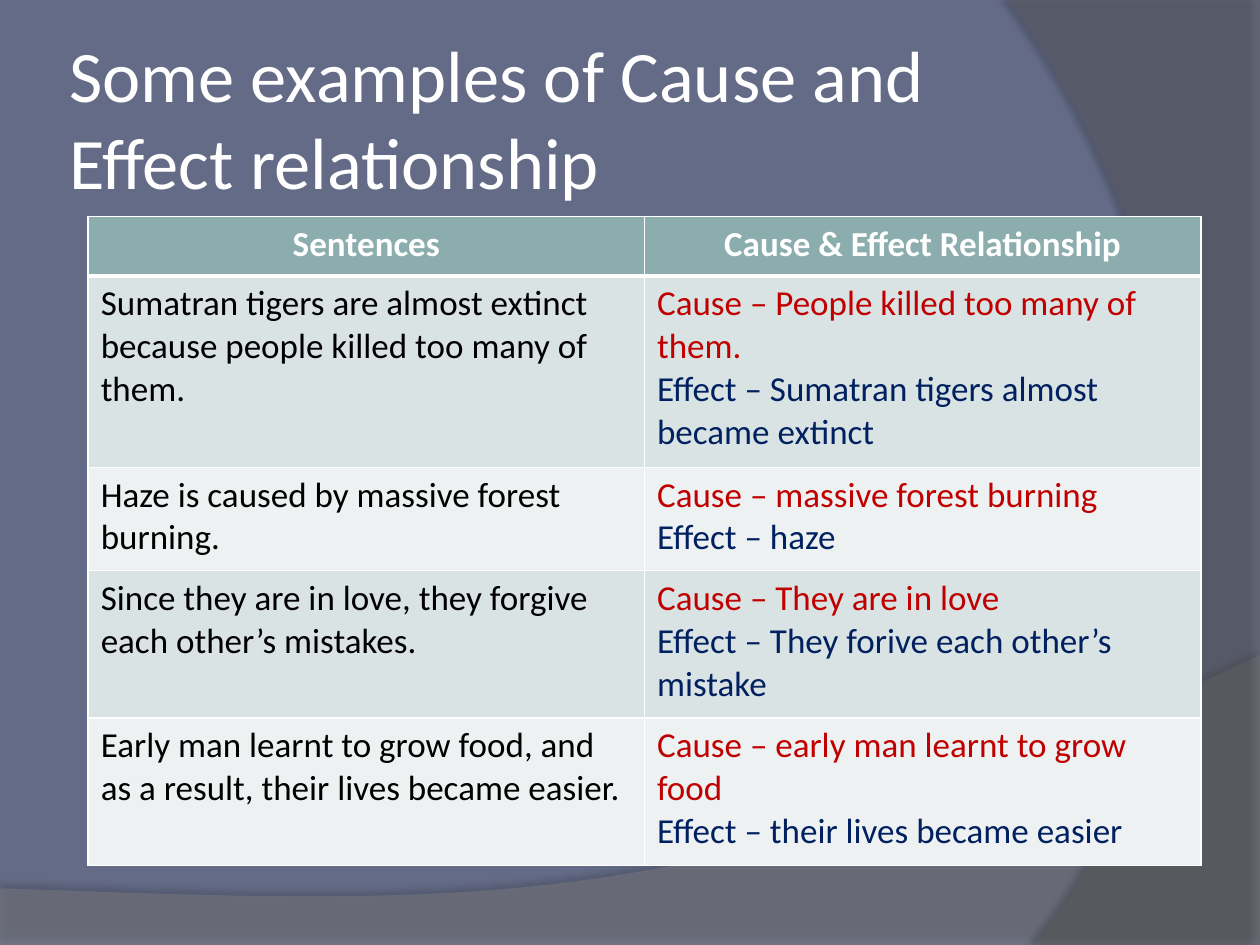
from dataclasses import dataclass

import lxml.etree
import pptx
import pptx.dml.color
import pptx.enum.text
import pptx.oxml
import pptx.oxml.ns
import pptx.util

Inches = pptx.util.Inches
Pt = pptx.util.Pt
qn = pptx.oxml.ns.qn

COLORS = {
    "background": "646B86",
    "wave": "7F7F7F",
    "arc": "5E5E5E",
    "shadow": "000000",
    "header": "8CADAE",
    "odd_row": "DAE3E3",
    "even_row": "EEF1F2",
    "white": "FFFFFF",
    "sentence": "000000",
    "cause": "C00000",
    "effect": "002060",
}
FONT = "Calibri"
CURVE_STEPS = 40
Point = tuple[float, float]


@dataclass
class Swoosh:
    lines: list[Point]
    controls: tuple[Point, Point, Point]
    color: str
    opacity: int
    shadow_opacity: int
    shadow_distance: float
    shadow_angle: int


@dataclass
class Example:
    sentence: str
    cause: str
    effect: str
    height: float


SWOOSHES = [
    Swoosh([(0, 7.05), (0, 7.5), (10, 7.5), (10, 5.2)],
           ((5.59, 7.29), (3.91, 7.19), (0, 7.05)), "wave", 45, 35, 3.5, 270),
    Swoosh([(10, 0), (10, 7.5), (8.21, 7.5)],
           ((9.35, 6.19), (10.18, 3), (8, 0)), "arc", 40, 45, 4, 180),
]
HEADINGS = ["Sentences", "Cause & Effect Relationship"]
HEADER_HEIGHT = 0.47
EXAMPLES = [
    Example("Sumatran tigers are almost extinct because people killed too many of them.",
            "People killed too many of them.", "Sumatran tigers almost became extinct", 1.52),
    Example("Haze is caused by massive forest burning.",
            "massive forest burning", "haze", 0.82),
    Example("Since they are in love, they forgive each other’s mistakes.",
            "They are in love", "They forive each other’s mistake", 1.17),
    Example("Early man learnt to grow food, and as a result, their lives became easier.",
            "early man learnt to grow food", "their lives became easier", 1.17),
]


def rgb(name: str) -> pptx.dml.color.RGBColor:
    return pptx.dml.color.RGBColor.from_string(COLORS[name])


def write_text(para, text: str, *, color: str, size: float = 20,
               bold: bool = False, centered: bool = False) -> None:
    if centered:
        para.alignment = pptx.enum.text.PP_ALIGN.CENTER
    span = para.add_run()
    span.text = text
    span.font.name = FONT
    span.font.size = Pt(size)
    span.font.bold = bold
    span.font.color.rgb = rgb(color)


def curve_points(start: Point, controls: tuple[Point, Point, Point]) -> list[Point]:
    points = []
    for step in range(1, CURVE_STEPS + 1):
        t = step / CURVE_STEPS
        weights = ((1 - t) ** 3, 3 * t * (1 - t) ** 2, 3 * t ** 2 * (1 - t), t ** 3)
        corners = (start, *controls)
        points.append(tuple(sum(w * corner[axis] for w, corner in zip(weights, corners))
                            for axis in (0, 1)))
    return points


def draw_swoosh(page, swoosh: Swoosh) -> None:
    points = swoosh.lines + curve_points(swoosh.lines[-1], swoosh.controls)
    outline = [(Inches(x), Inches(y)) for x, y in points]
    builder = page.shapes.build_freeform(*outline[0])
    builder.add_line_segments(outline[1:], close=True)
    shape = builder.convert_to_shape()
    shape.shadow.inherit = False
    shape.fill.solid()
    shape.fill.fore_color.rgb = rgb(swoosh.color)
    shape.line.fill.background()
    properties = shape.element.spPr
    fill_color = properties.find(qn("a:solidFill")).find(qn("a:srgbClr"))
    lxml.etree.SubElement(fill_color, qn("a:alpha"), val=str(swoosh.opacity * 1000))
    shadow = lxml.etree.SubElement(
        properties.find(qn("a:effectLst")), qn("a:outerShdw"),
        blurRad=str(Pt(4)), dist=str(Pt(swoosh.shadow_distance)),
        dir=str(swoosh.shadow_angle * 60000), algn="ctr", rotWithShape="0")
    shadow_color = lxml.etree.SubElement(shadow, qn("a:srgbClr"), val=COLORS["shadow"])
    lxml.etree.SubElement(shadow_color, qn("a:alpha"), val=str(swoosh.shadow_opacity * 1000))


def style_cell(cell, fill: str, top: float = 1, bottom: float = 1) -> None:
    cell.fill.solid()
    cell.fill.fore_color.rgb = rgb(fill)
    properties = cell._tc.get_or_add_tcPr()
    widths = {"a:lnL": 1, "a:lnR": 1, "a:lnT": top, "a:lnB": bottom}
    for index, (tag, width) in enumerate(widths.items()):
        border = lxml.etree.Element(qn(tag), w=str(Pt(width)))
        border_fill = lxml.etree.SubElement(border, qn("a:solidFill"))
        lxml.etree.SubElement(border_fill, qn("a:srgbClr"), val=COLORS["white"])
        properties.insert(index, border)


def draw_table(page) -> None:
    heights = [HEADER_HEIGHT] + [example.height for example in EXAMPLES]
    table = page.shapes.add_table(len(heights), len(HEADINGS), Inches(0.7), Inches(1.72),
                                  Inches(8.83), Inches(sum(heights))).table
    for row, height in zip(table.rows, heights):
        row.height = Inches(height)
    for column, heading in enumerate(HEADINGS):
        cell = table.cell(0, column)
        style_cell(cell, "header", bottom=3)
        write_text(cell.text_frame.paragraphs[0], heading, color="white",
                   bold=True, centered=True)
    for number, example in enumerate(EXAMPLES, start=1):
        sentence, relation = table.cell(number, 0), table.cell(number, 1)
        for cell in (sentence, relation):
            style_cell(cell, "odd_row" if number % 2 else "even_row",
                       top=3 if number == 1 else 1)
        write_text(sentence.text_frame.paragraphs[0], example.sentence, color="sentence")
        write_text(relation.text_frame.paragraphs[0], f"Cause – {example.cause}", color="cause")
        write_text(relation.text_frame.add_paragraph(), f"Effect – {example.effect}",
                   color="effect")


def draw_title(page) -> None:
    box = page.shapes.add_textbox(Inches(0.5), Inches(0.3), Inches(8.17), Inches(1.25))
    frame = box.text_frame
    frame.word_wrap = True
    frame.vertical_anchor = pptx.enum.text.MSO_ANCHOR.MIDDLE
    frame.margin_left = frame.margin_right = Inches(0.05)
    frame.margin_top = frame.margin_bottom = Inches(0.05)
    write_text(frame.paragraphs[0], "Some examples of Cause and Effect relationship",
               color="white", size=41.4)


def main() -> None:
    deck = pptx.Presentation()
    deck.slide_width, deck.slide_height = Inches(10), Inches(7.5)
    page = deck.slides.add_slide(deck.slide_layouts[6])
    page.background.fill.solid()
    page.background.fill.fore_color.rgb = rgb("background")
    for swoosh in SWOOSHES:
        draw_swoosh(page, swoosh)
    draw_table(page)
    draw_title(page)
    deck.save("out.pptx")


if __name__ == "__main__":
    main()
